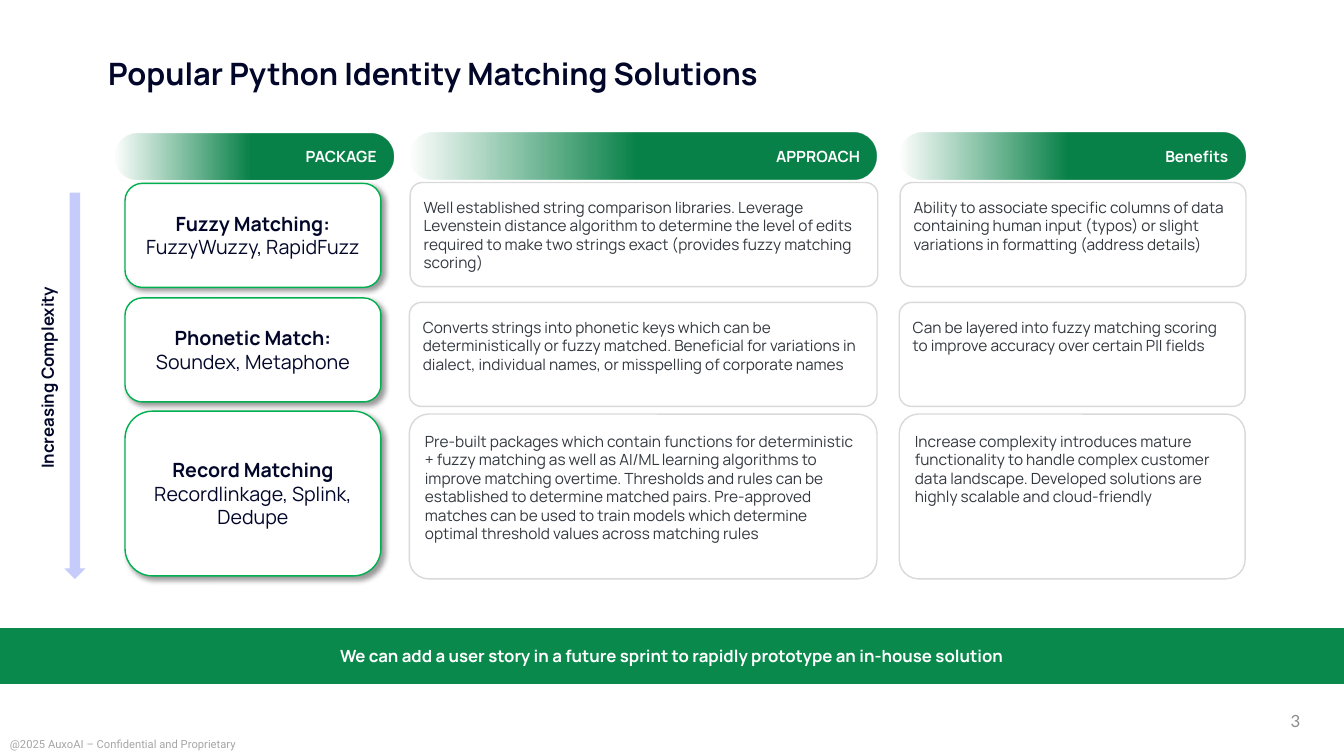
from dataclasses import dataclass

from lxml import etree
from pptx import Presentation
from pptx import util as u
from pptx.dml.color import RGBColor
from pptx.enum import shapes, text
from pptx.oxml.ns import qn

Pt = u.Pt
MSO = shapes.MSO_SHAPE
AL = text.PP_ALIGN
ANC = text.MSO_ANCHOR

COLORS = {
    "navy": "02072A", "green": "088248", "banner": "09894C", "outline": "00B050",
    "arrow": "C5CCFC", "border": "D9D9D9", "body": "32383F", "white": "FFFFFF",
    "footer": "A6A6A6", "number": "8C8C8E", "black": "000000",
}


@dataclass
class Style:
    size: float
    color: str
    bold: bool = False
    align: AL = AL.LEFT
    font: str = "Manrope"


@dataclass
class Column:
    heading: str
    x: float
    y: float
    w: float


@dataclass
class Row:
    name: str
    packages: str
    approach: str
    benefits: str
    card_y: float
    y: float
    h: float
    shift: float = 0


COLUMNS = [
    Column("PACKAGE", 82, 95.5, 199),
    Column("APPROACH", 292.4, 95, 334),
    Column("Benefits", 642.4, 95, 247),
]
ROWS = [
    Row("Fuzzy Matching:", "FuzzyWuzzy,\u00a0RapidFuzz".replace("\u00a0", " "),
        "Well established string comparison libraries. Leverage Levenstein distance "
        "algorithm to determine the level of edits required to make two strings exact "
        "(provides fuzzy matching scoring)",
        "Ability to associate specific columns of data containing human input (typos) "
        "or slight variations in formatting (address details)",
        131, 130.4, 74.3, 0.6),
    Row("Phonetic Match:", "Soundex, Metaphone",
        "Converts strings into phonetic keys which can be deterministically or fuzzy "
        "matched. Beneficial for variations in dialect, individual names, or "
        "misspelling of corporate names",
        "Can be layered into fuzzy matching scoring to improve accuracy over certain "
        "PII fields",
        212.8, 216, 74.3),
    Row("Record Matching", "Recordlinkage, Splink, Dedupe",
        "Pre-built packages which contain functions for deterministic + fuzzy matching "
        "as well as AI/ML learning algorithms to improve matching overtime. Thresholds "
        "and rules can be established to determine matched pairs. Pre-approved matches "
        "can be used to train models which determine optimal threshold values across "
        "matching rules",
        "Increase complexity introduces mature functionality to handle complex customer "
        "data landscape. Developed solutions are highly scalable and cloud-friendly",
        293.7, 295.8, 117.7),
]
HEADING = Style(11, "white", True, AL.RIGHT)
BODY = Style(11, "body")
CARD_NAME = Style(14, "navy", True, AL.CENTER)
CARD_LIST = Style(14, "navy", False, AL.CENTER)


def rgb(name: str) -> RGBColor:
    return RGBColor.from_string(COLORS[name])


def write(sp, lines: list[tuple[str, Style]], anchor: ANC = ANC.MIDDLE) -> None:
    tf = sp.text_frame
    tf.word_wrap = True
    tf.vertical_anchor = anchor
    for i, (line, style) in enumerate(lines):
        p = tf.paragraphs[0] if i == 0 else tf.add_paragraph()
        p.text = line
        p.alignment = style.align
        p.font.size = Pt(style.size)
        p.font.name = style.font
        p.font.bold = style.bold
        p.font.color.rgb = rgb(style.color)


def add_box(s, kind: MSO, x: float, y: float, w: float, h: float,
            fill: str = "white", line: str | None = None, adj: float | None = None):
    sp = s.shapes.add_shape(kind, Pt(x), Pt(y), Pt(w), Pt(h))
    sp.shadow.inherit = False
    sp.fill.solid()
    sp.fill.fore_color.rgb = rgb(fill)
    if line:
        sp.line.color.rgb = rgb(line)
        sp.line.width = Pt(1)
    else:
        sp.line.fill.background()
    if adj is not None:
        sp.adjustments[0] = adj
    return sp


def add_label(s, x: float, y: float, w: float, h: float, label: str, style: Style) -> None:
    sp = s.shapes.add_textbox(Pt(x), Pt(y), Pt(w), Pt(h))
    write(sp, [(label, style)])


def fade_left(sp) -> None:
    """Fade the fill from clear at the left to solid near the middle."""
    sp.fill.gradient()
    sp.fill.gradient_angle = 0
    for stop, position in zip(sp.fill.gradient_stops, (0, 0.49)):
        stop.color.rgb = rgb("green")
        stop.position = position
    clear = next(sp._element.spPr.iter(qn("a:srgbClr")))
    etree.SubElement(clear, qn("a:alpha"), val="0")


def drop_shadow(sp) -> None:
    effects = sp._element.spPr.find(qn("a:effectLst"))
    shadow = etree.SubElement(effects, qn("a:outerShdw"), blurRad=str(Pt(4)),
                              dist=str(Pt(3)), dir="2700000", algn="tl", rotWithShape="0")
    color = etree.SubElement(shadow, qn("a:srgbClr"), val=COLORS["black"])
    etree.SubElement(color, qn("a:alpha"), val="40000")


def add_row(s, row: Row) -> None:
    card = add_box(s, MSO.ROUNDED_RECTANGLE, 89.3, row.card_y, 182.8, row.h, line="outline")
    drop_shadow(card)
    write(card, [(row.name, CARD_NAME), (row.packages, CARD_LIST)])
    for col, detail in zip(COLUMNS[1:], (row.approach, row.benefits)):
        sp = add_box(s, MSO.ROUNDED_RECTANGLE, col.x + row.shift, row.y, col.w, row.h,
                     line="border", adj=0.117)
        write(sp, [(detail, BODY)], ANC.TOP)
        sp.text_frame.margin_top = Pt(8.6)


def main() -> None:
    prs = Presentation()
    prs.slide_width, prs.slide_height = Pt(960), Pt(540)
    s = prs.slides.add_slide(prs.slide_layouts[5])

    # Title
    title = s.shapes.title
    title.left, title.top, title.width, title.height = Pt(70), Pt(23.8), Pt(828), Pt(61)
    write(title, [("Popular Python Identity Matching Solutions", Style(22, "navy", True))])
    title.text_frame.paragraphs[0].line_spacing = 0.9

    # Column headings
    for col in COLUMNS:
        sp = add_box(s, MSO.ROUNDED_RECTANGLE, col.x, col.y, col.w, 33, "green", adj=0.5)
        fade_left(sp)
        write(sp, [(col.heading, HEADING)])

    # Package cards with their details
    for row in ROWS:
        add_row(s, row)

    # Complexity scale
    label = add_box(s, MSO.RECTANGLE, -43.8, 258, 155, 23.6)
    label.rotation = 270
    write(label, [("Increasing Complexity", Style(12, "navy", True, AL.CENTER))])
    add_box(s, MSO.DOWN_ARROW, 46, 137.5, 15, 276, "arrow")

    # Closing banner
    banner = add_box(s, MSO.RECTANGLE, 0, 448.8, 960, 39, "banner", "banner")
    write(banner, [("We can add a user story in a future sprint to rapidly prototype "
                    "an in-house solution", Style(12, "white", True, AL.CENTER))])

    # Footer
    add_label(s, 0, 522.7, 248, 17, "@2025 AuxoAI – Confidential and Proprietary",
              Style(8, "footer", font="Roboto"))
    add_label(s, 720, 500.5, 216, 29, "3", Style(12, "number", align=AL.RIGHT, font="Lato"))

    prs.save("out.pptx")


if __name__ == "__main__":
    main()
